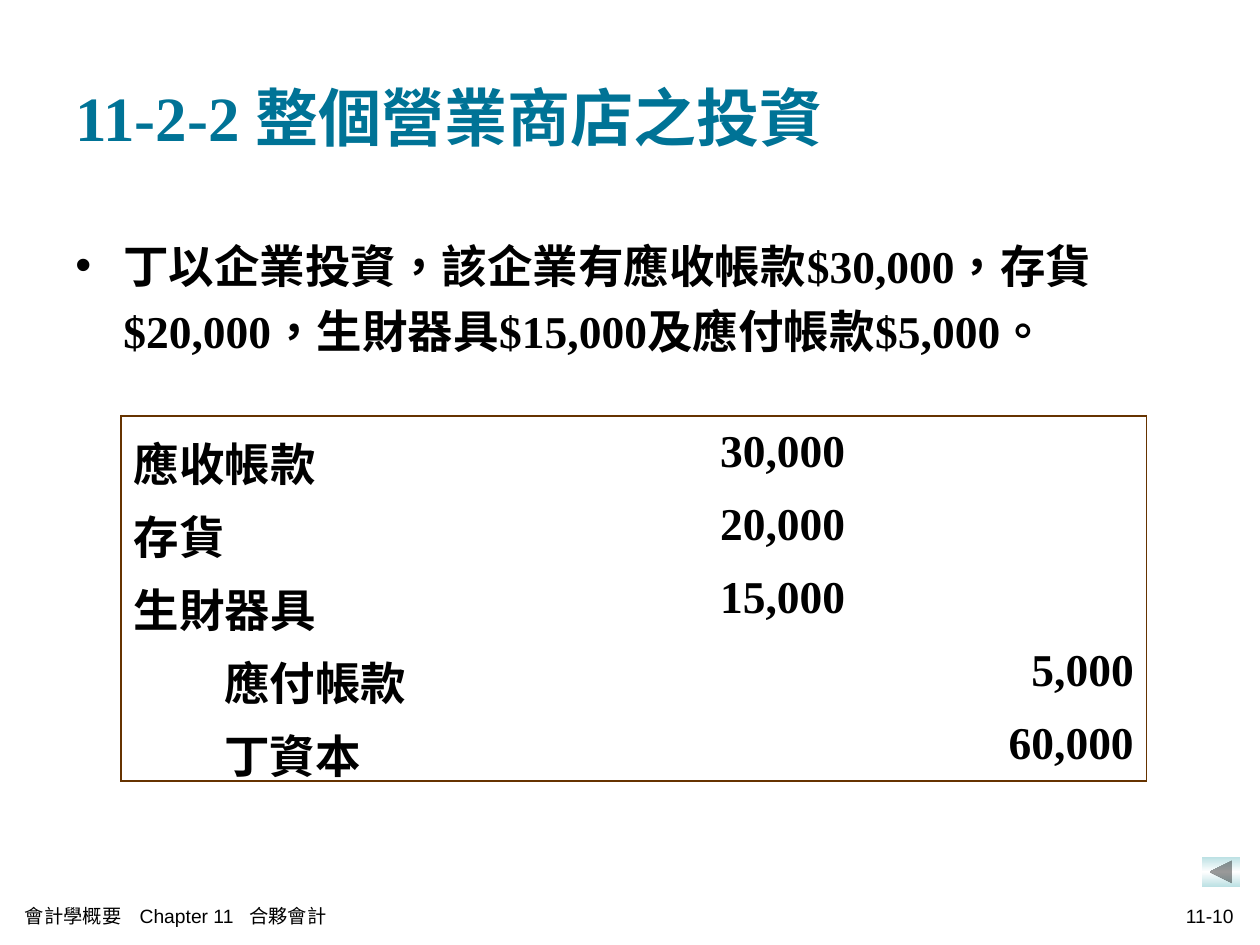
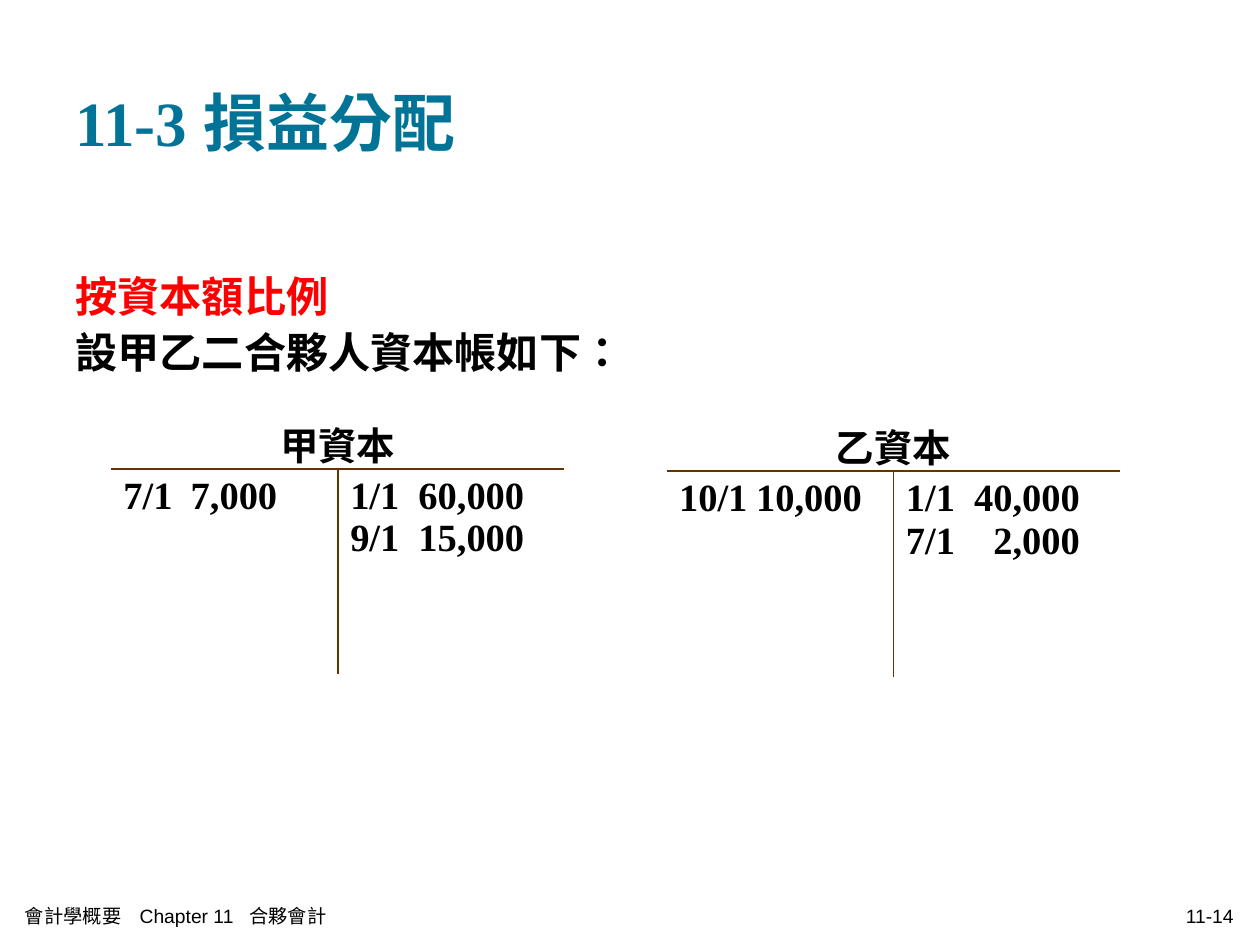
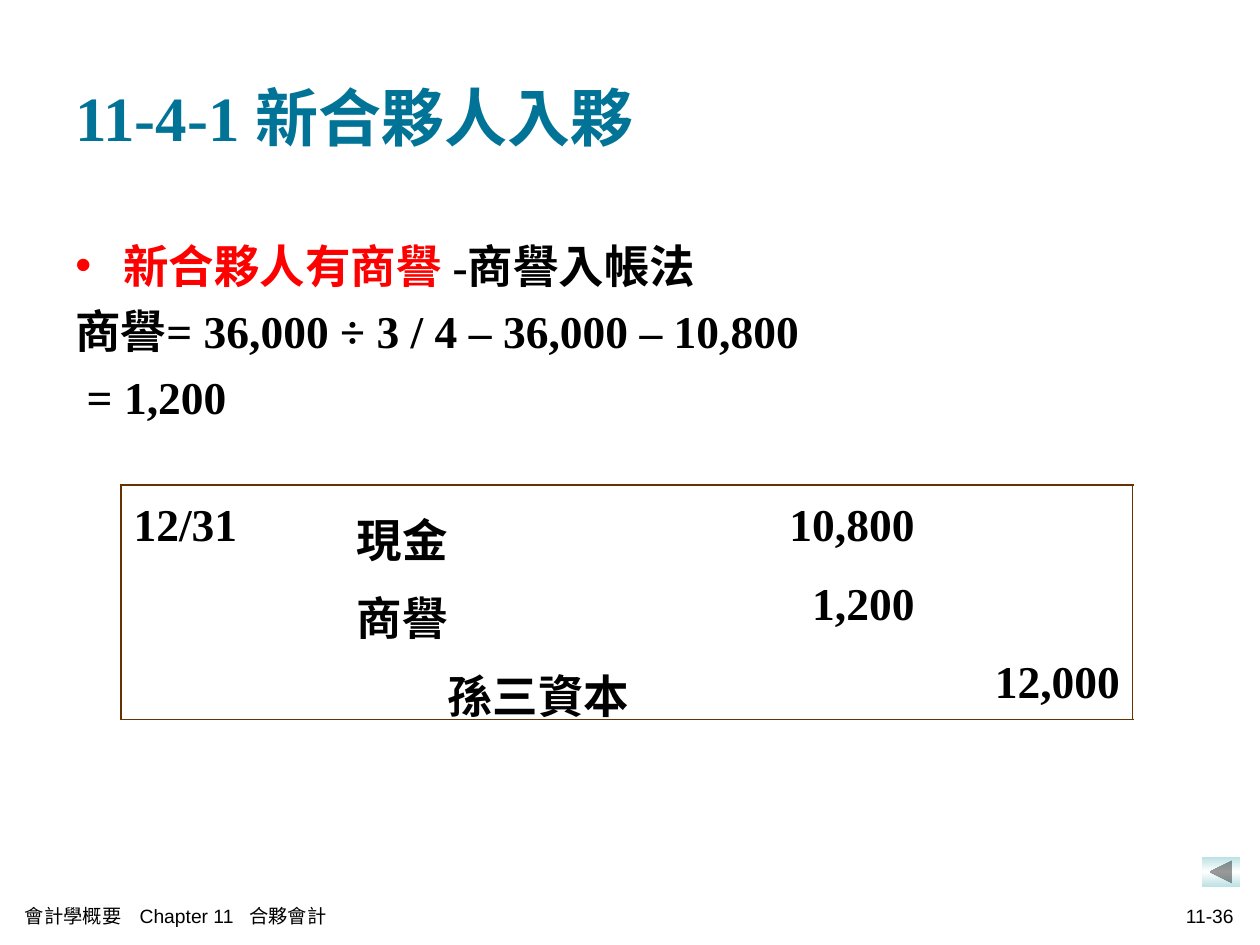
from copy import deepcopy
from dataclasses import dataclass

from pptx import Presentation
from pptx.dml.color import RGBColor as Color
from pptx.enum.lang import MSO_LANGUAGE_ID as Language
from pptx.enum.shapes import MSO_SHAPE as Shape
from pptx.enum.text import MSO_ANCHOR as Anchor, PP_ALIGN as Align
from pptx.oxml.ns import qn
from pptx.util import Inches, Pt
from lxml.etree import SubElement


@dataclass(frozen=True)
class Theme:
    serif: str = "Times New Roman"
    sans: str = "Arial"
    title: str = "007396"
    text: str = "000000"
    accent: str = "FF0000"
    rule: str = "663300"
    button_edge: str = "BBE0E3"
    button_glow: str = "FFFFFF"
    title_size: float = 36
    body_size: float = 26
    lead_size: float = 24.1
    account_size: float = 22
    footer_size: float = 11
    rule_width: float = 1.08
    hanging: float = 0.38
    credit_indent: float = 0.72


THEME = Theme()


# Text
def add_bullet(para, color):
    props = para._p.get_or_add_pPr()
    bullet_color = SubElement(props, qn("a:buClr"))
    SubElement(bullet_color, qn("a:srgbClr"), val=color)
    SubElement(props, qn("a:buFont"), typeface=THEME.sans)
    SubElement(props, qn("a:buChar"), char="•")


def add_tabs(para, stops, align="l"):
    tab_list = SubElement(para._p.get_or_add_pPr(), qn("a:tabLst"))
    for stop in stops:
        SubElement(tab_list, qn("a:tab"), pos=str(Inches(stop)), algn=align)


def set_indent(para, left, first=0):
    props = para._p.get_or_add_pPr()
    props.set("marL", str(Inches(left)))
    props.set("indent", str(Inches(first)))


def set_font(para, size, color=THEME.text, name=THEME.serif, bold=True):
    font = para.font
    font.name, font.size, font.bold = name, Pt(size), bold
    font.language_id = Language.TRADITIONAL_CHINESE
    if color:
        font.color.rgb = Color.from_string(color)


def add_box(page, left, top, width, height, anchor=Anchor.TOP):
    box = page.shapes.add_textbox(*map(Inches, (left, top, width, height)))
    frame = box.text_frame
    frame.word_wrap = True
    frame.vertical_anchor = anchor
    return frame


def add_title(page, text, top=0.3):
    para = add_box(page, 0.5, top, 9, 1.25, Anchor.MIDDLE).paragraphs[0]
    para.text = text
    set_font(para, THEME.title_size, THEME.title)


def add_body(page, area, lines, size=THEME.body_size, spacing=1.2):
    """Each line is (bullet colour or None, [(text, colour), ...])."""
    frame = add_box(page, *area)
    for index, (bullet, spans) in enumerate(lines):
        para = frame.add_paragraph() if index else frame.paragraphs[0]
        para.line_spacing = spacing
        set_indent(para, THEME.hanging, -THEME.hanging)
        if bullet:
            add_bullet(para, bullet)
        set_font(para, size, spans[0][1] if len(spans) == 1 else None)
        for text, color in spans:
            span = para.add_run()
            span.text = text
            if len(spans) > 1:
                span.font.color.rgb = Color.from_string(color)


def add_footer(page, number):
    chapter = add_box(page, 0.1, 7.1, 5.1, 0.33, Anchor.MIDDLE).paragraphs[0]
    chapter.text = "會計學概要\tChapter 11\t合夥會計"
    add_tabs(chapter, (0.91, 1.78))
    folio = add_box(page, 6.77, 7.1, 3.12, 0.33, Anchor.MIDDLE).paragraphs[0]
    folio.text = number
    folio.alignment = Align.RIGHT
    for para in (chapter, folio):
        set_font(para, THEME.footer_size, name=THEME.sans, bold=False)


def add_back_button(page):
    button = page.shapes.add_shape(Shape.ACTION_BUTTON_BACK_OR_PREVIOUS,
                                   *map(Inches, (9.54, 6.8, 0.3, 0.24)))
    button.shadow.inherit = False
    button.line.fill.background()
    button.fill.gradient()
    button.fill.gradient_angle = 90
    stop_list = button._element.xpath(".//a:gsLst")[0]
    stop_list.append(deepcopy(stop_list[0]))
    colors = (THEME.button_edge, THEME.button_glow, THEME.button_edge)
    for index, (stop, color) in enumerate(zip(button.fill.gradient_stops, colors)):
        stop.position = index / 2
        stop.color.rgb = Color.from_string(color)


# Tables
def add_grid(page, left, top, columns, rows):
    area = map(Inches, (left, top, sum(columns), sum(rows)))
    table = page.shapes.add_table(len(rows), len(columns), *area).table
    table.first_row = table.horz_banding = False
    for column, width in zip(table.columns, columns):
        column.width = Inches(width)
    for row, height in zip(table.rows, rows):
        row.height = Inches(height)
    return table


def set_borders(cell, sides):
    props = cell._tc.get_or_add_tcPr()
    for side in "LRTB":
        line = SubElement(props, qn(f"a:ln{side}"), w=str(Pt(THEME.rule_width)))
        if side in sides:
            fill = SubElement(line, qn("a:solidFill"))
            SubElement(fill, qn("a:srgbClr"), val=THEME.rule)
        else:
            SubElement(line, qn("a:noFill"))
    cell.fill.background()


def add_journal(page, top, columns, row_height, entries, spacing):
    """The last three columns hold the account, the debit and the credit."""
    table = add_grid(page, 0.96, top, columns, [row_height] * len(entries))
    last_row, last_column = len(entries) - 1, len(columns) - 1
    for r, entry in enumerate(entries):
        for c, text in enumerate(entry):
            cell = table.cell(r, c)
            edges = {"L": c == 0, "R": c == last_column, "T": r == 0, "B": r == last_row}
            set_borders(cell, [side for side, drawn in edges.items() if drawn])
            para = cell.text_frame.paragraphs[0]
            para.text = text
            para.line_spacing = spacing
            if c > last_column - 2:
                para.alignment = Align.RIGHT
            elif c == last_column - 2 and entry[-1]:
                set_indent(para, THEME.credit_indent)
            set_font(para, THEME.body_size)


def add_t_account(page, left, top, name, debits, credits, debit_stop):
    table = add_grid(page, left, top, (1.8, 1.8), (0.47, 1.63))
    heading = table.cell(0, 0)
    heading.merge(table.cell(0, 1))
    heading.vertical_anchor = Anchor.MIDDLE
    heading.text = name
    para = heading.text_frame.paragraphs[0]
    para.alignment = Align.CENTER
    set_font(para, THEME.account_size)
    for column, (lines, stop) in enumerate(((debits, debit_stop), (credits, 1.38))):
        set_borders(table.cell(0, column), "B")
        cell = table.cell(1, column)
        set_borders(cell, ("TR", "TL")[column])
        cell.text = "\n".join(f"{date}\t{amount}" for date, amount in lines)
        for para in cell.text_frame.paragraphs:
            add_tabs(para, (stop,), "r")
            set_font(para, THEME.account_size)


# Slides
def build_business_investment(page):
    add_title(page, "11-2-2 整個營業商店之投資")
    investment = ("丁以企業投資，該企業有應收帳款$30,000，存貨$20,000，"
                  "生財器具$15,000及應付帳款$5,000。")
    add_body(page, (0.5, 1.75, 8.81, 1.74), [(THEME.text, [(investment, THEME.text)])])
    entries = [
        ("應收帳款", "30,000", ""),
        ("存貨", "20,000", ""),
        ("生財器具", "15,000", ""),
        ("應付帳款", "", "5,000"),
        ("丁資本", "", "60,000"),
    ]
    add_journal(page, 3.3, (3.27, 2.58, 2.29), 0.58, entries, 1.1)
    add_back_button(page)
    add_footer(page, "11-10")


def build_profit_sharing(page):
    add_title(page, "11-3 損益分配", 0.34)
    add_body(page, (0.5, 2.06, 9, 0.98), [
        (None, [("按資本額比例", THEME.accent)]),
        (None, [("設甲乙二合夥人資本帳如下：", THEME.text)]),
    ], THEME.lead_size, 1.1)
    add_t_account(page, 0.88, 3.25, "甲資本", [("7/1", "7,000")],
                  [("1/1", "60,000"), ("9/1", "15,000")], 1.22)
    add_t_account(page, 5.29, 3.27, "乙資本", [("10/1", "10,000")],
                  [("1/1", "40,000"), ("7/1", "2,000")], 1.45)
    add_footer(page, "11-14")


def build_new_partner(page):
    add_title(page, "11-4-1 新合夥人入夥")
    add_body(page, (0.5, 1.75, 9, 4.95), [
        (THEME.accent, [("新合夥人有商譽 ", THEME.accent), ("-商譽入帳法", THEME.text)]),
        (None, [("商譽= 36,000 ÷ 3 / 4 – 36,000 – 10,800", THEME.text)]),
        (None, [(" = 1,200", THEME.text)]),
    ])
    entries = [
        ("12/31", "現金", "10,800", ""),
        ("", "商譽", "1,200", ""),
        ("", "孫三資本", "", "12,000"),
    ]
    add_journal(page, 3.85, (1.77, 2.9, 1.73, 1.63), 0.62, entries, 1.2)
    add_back_button(page)
    add_footer(page, "11-36")


def main():
    deck = Presentation()
    deck.slide_width, deck.slide_height = Inches(10), Inches(7.5)
    for build in (build_business_investment, build_profit_sharing, build_new_partner):
        build(deck.slides.add_slide(deck.slide_layouts[6]))
    deck.save("out.pptx")


if __name__ == "__main__":
    main()
